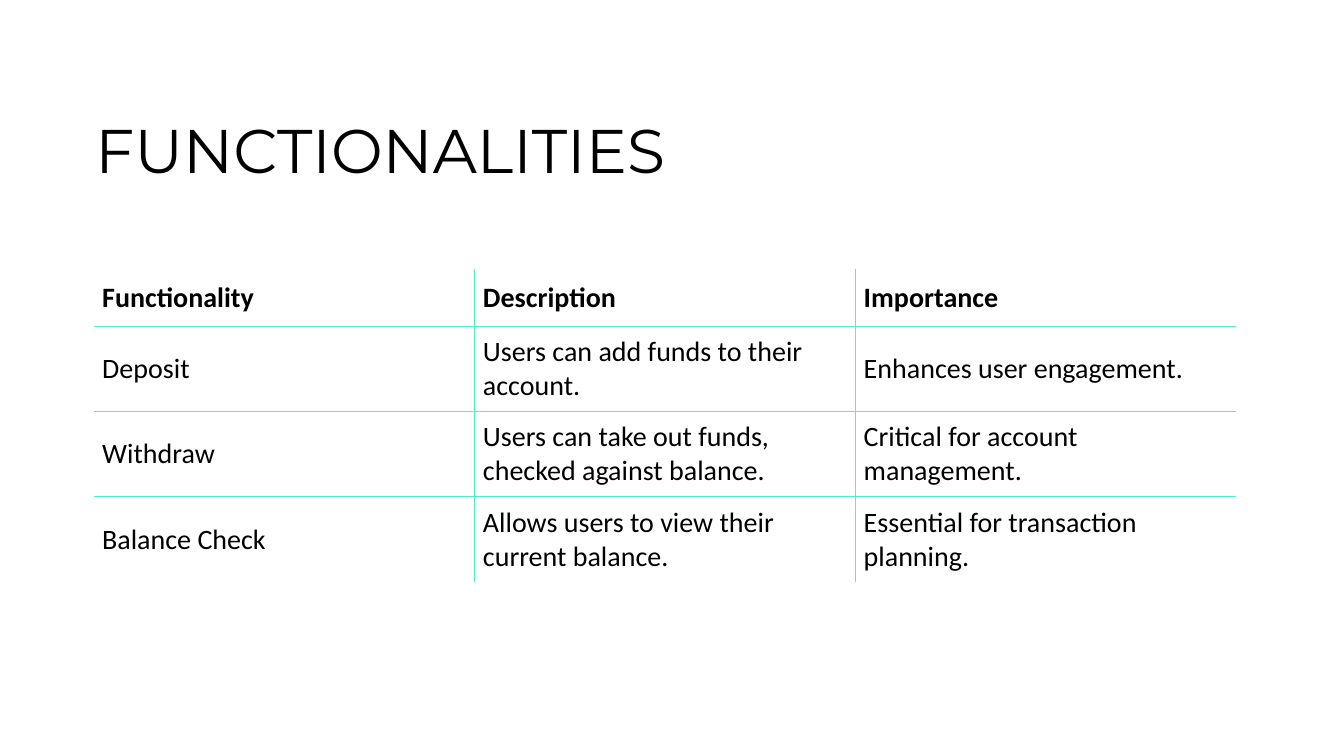
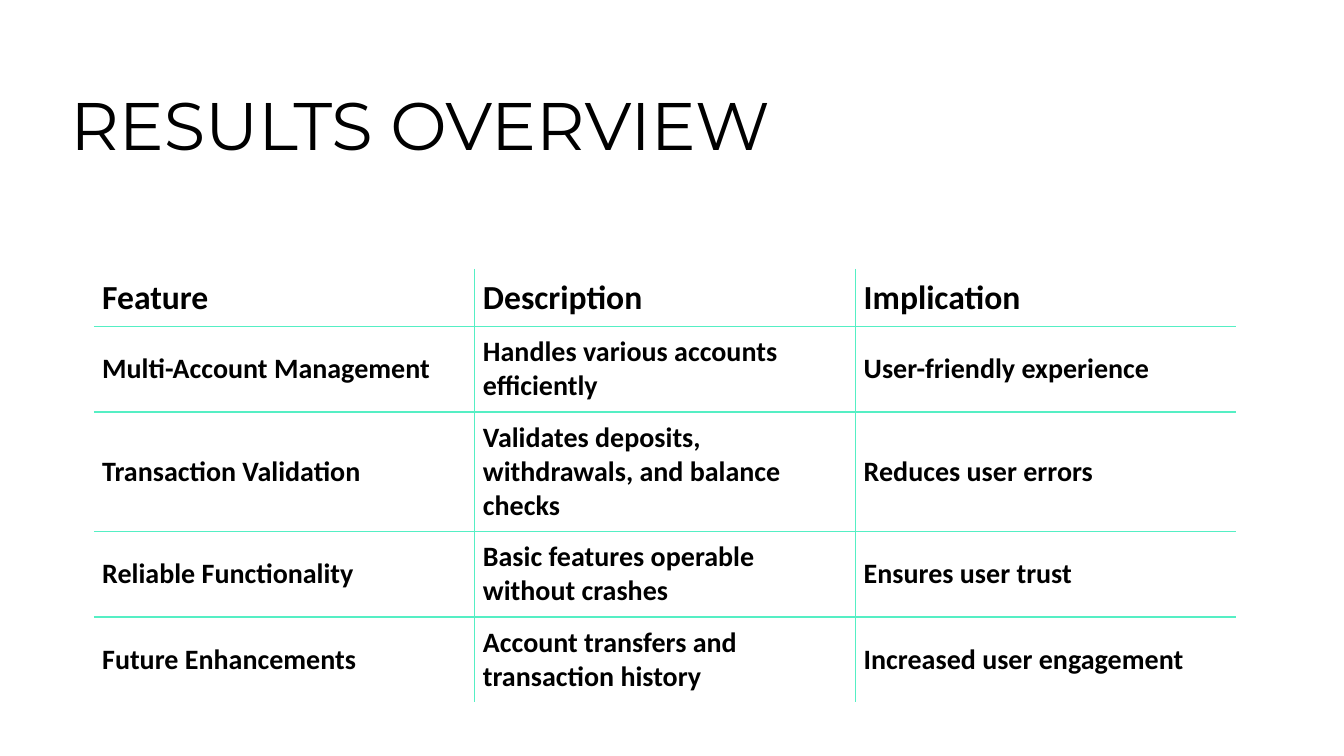
"""Build two slides, each with a title and a ruled table."""
import dataclasses

import lxml.etree
import pptx
import pptx.dml.color
import pptx.enum.text
import pptx.oxml.ns
import pptx.slide
import pptx.table
import pptx.text.text
import pptx.util

Pt = pptx.util.Pt
qn = pptx.oxml.ns.qn


@dataclasses.dataclass(frozen=True)
class Theme:
    ink: str = "000000"
    paper: str = "FFFFFF"
    rule: str = "55EFC4"
    title: str = "Montserrat"
    text: str = "Calibri"
    body: float = 20
    line: float = 1
    inset: float = 6


@dataclasses.dataclass(frozen=True)
class Page:
    title: str
    left: float
    top: float
    size: float
    head: float
    bold: bool
    rows: tuple[tuple[str, ...], ...]


THEME = Theme()
WIDTH, HEIGHT = 960, 540
TITLE_W, TITLE_H = 822, 104
LEFT, TOP, COL, ROW = 67, 192, 272, 41

PAGES = (
    Page("FUNCTIONALITIES", 61, 76.5, 44, 20, False, (
        ("Functionality", "Description", "Importance"),
        ("Deposit", "Users can add funds to their account.", "Enhances user engagement."),
        ("Withdraw", "Users can take out funds, checked against balance.",
         "Critical for account management."),
        ("Balance Check", "Allows users to view their current balance.",
         "Essential for transaction planning."),
    )),
    Page("RESULTS OVERVIEW", 43, 56, 48, 24, True, (
        ("Feature", "Description", "Implication"),
        ("Multi-Account Management", "Handles various accounts efficiently",
         "User-friendly experience"),
        ("Transaction Validation", "Validates deposits, withdrawals, and balance checks",
         "Reduces user errors"),
        ("Reliable Functionality", "Basic features operable without crashes",
         "Ensures user trust"),
        ("Future Enhancements", "Account transfers and transaction history",
         "Increased user engagement"),
    )),
)


def color(code: str) -> pptx.dml.color.RGBColor:
    return pptx.dml.color.RGBColor.from_string(code)


def style(para: pptx.text.text._Paragraph, face: str, size: float, bold: bool) -> None:
    para.alignment = pptx.enum.text.PP_ALIGN.LEFT
    font = para.font
    font.name, font.size, font.bold = face, Pt(size), bold
    font.color.rgb = color(THEME.ink)


def edge(cell: pptx.table._Cell, side: str, shown: bool) -> None:
    line = lxml.etree.SubElement(cell._tc.get_or_add_tcPr(), qn(f"a:ln{side}"))
    line.set("w", str(int(Pt(THEME.line if shown else 0))))
    fill = lxml.etree.SubElement(line, qn("a:solidFill" if shown else "a:noFill"))
    if shown:
        lxml.etree.SubElement(fill, qn("a:srgbClr")).set("val", THEME.rule)


def add_title(slide: pptx.slide.Slide, page: Page) -> None:
    title = slide.shapes.title
    title.left, title.top = Pt(page.left), Pt(page.top)
    title.width, title.height = Pt(TITLE_W), Pt(TITLE_H)
    frame = title.text_frame
    frame.text = page.title
    frame.auto_size = pptx.enum.text.MSO_AUTO_SIZE.NONE
    frame.vertical_anchor = pptx.enum.text.MSO_ANCHOR.TOP
    style(frame.paragraphs[0], THEME.title, page.size, False)


def add_grid(slide: pptx.slide.Slide, page: Page) -> None:
    rows, cols = len(page.rows), len(page.rows[0])
    grid = slide.shapes.add_table(
        rows, cols, Pt(LEFT), Pt(TOP), Pt(cols * COL), Pt(rows * ROW)).table
    grid.first_row = grid.horz_banding = False
    for r, texts in enumerate(page.rows):
        for c, text in enumerate(texts):
            cell = grid.cell(r, c)
            cell.text = text
            cell.vertical_anchor = pptx.enum.text.MSO_ANCHOR.MIDDLE
            cell.margin_left = cell.margin_right = Pt(THEME.inset)
            cell.margin_top = cell.margin_bottom = Pt(THEME.inset)
            inner = {"L": c > 0, "R": c < cols - 1, "T": r > 0, "B": r < rows - 1}
            for side, shown in inner.items():
                edge(cell, side, shown)
            cell.fill.solid()
            cell.fill.fore_color.rgb = color(THEME.paper)
            size = THEME.body if r else page.head
            style(cell.text_frame.paragraphs[0], THEME.text, size, page.bold or r == 0)


def main() -> None:
    deck = pptx.Presentation()
    deck.slide_width, deck.slide_height = Pt(WIDTH), Pt(HEIGHT)
    for page in PAGES:
        slide = deck.slides.add_slide(deck.slide_layouts.get_by_name("Title Only"))
        add_grid(slide, page)
        add_title(slide, page)
    deck.save("out.pptx")


if __name__ == "__main__":
    main()
